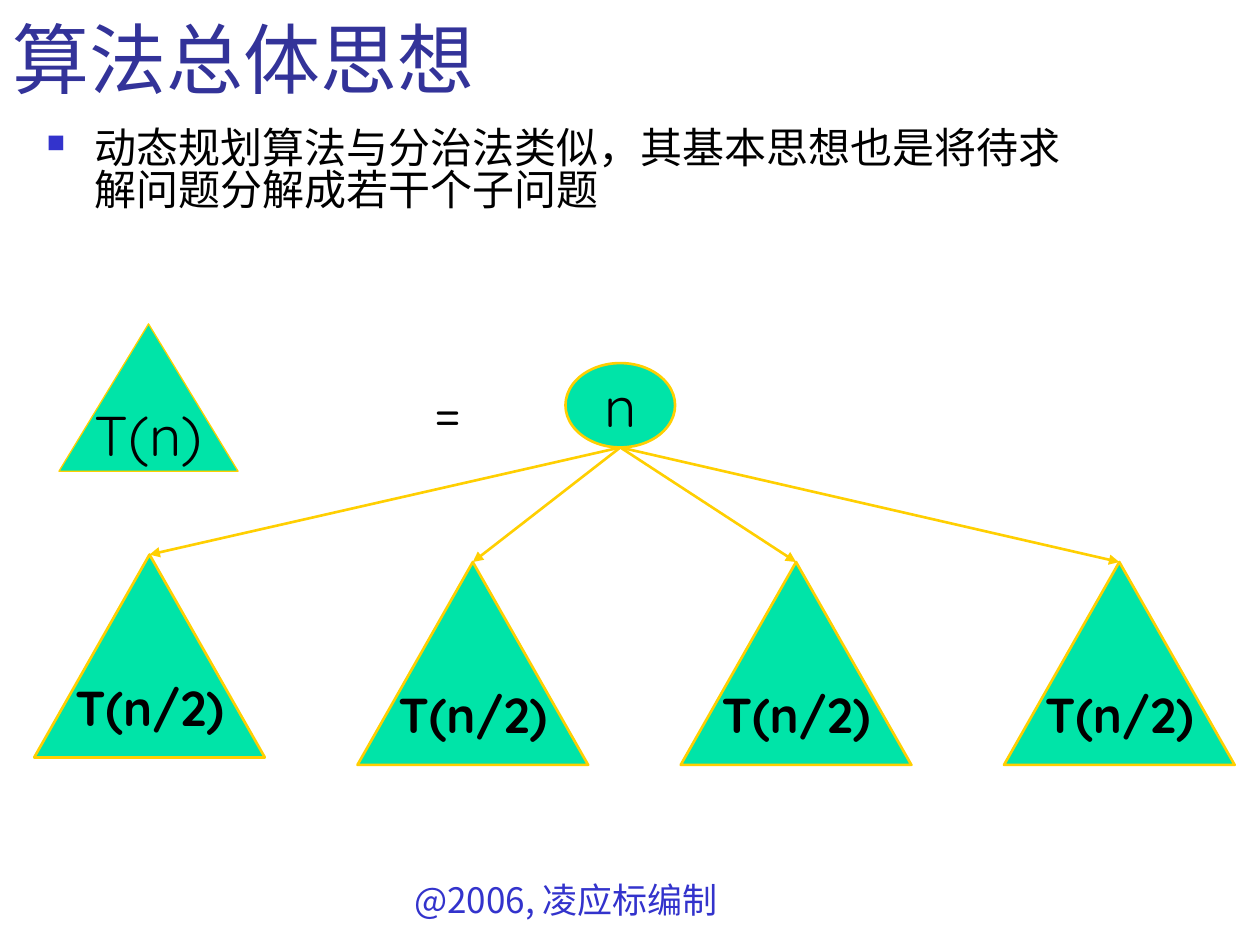
from dataclasses import dataclass

from lxml.etree import SubElement
from pptx import Presentation
from pptx.dml.color import RGBColor as Rgb
from pptx.enum.shapes import MSO_CONNECTOR as Connector, MSO_SHAPE as Shape
from pptx.enum.text import MSO_ANCHOR as Anchor, PP_ALIGN as Align
from pptx.oxml.ns import qn
from pptx.util import Cm, Pt


@dataclass(frozen=True)
class Theme:
    title: Rgb = Rgb(0x33, 0x33, 0x99)
    accent: Rgb = Rgb(0x33, 0x33, 0xCC)
    ink: Rgb = Rgb(0, 0, 0)
    fill: Rgb = Rgb(0x00, 0xE4, 0xA8)
    line: Rgb = Rgb(0xFF, 0xCF, 0x01)
    title_font: str = "Karla"
    body_font: str = "Noto Sans CJK SC"
    node_font: str = "Quicksand"
    title_size: int = 44
    body_size: int = 24
    footer_size: int = 20
    root_size: int = 32
    child_size: int = 28
    thin: float = 0.75
    thick: float = 1.5


THEME = Theme()


def set_all(target, values):
    for name, value in values.items():
        setattr(target, name, value)


def write(shape, text, font, size, color, bold=False, frame=None, layout=None):
    """Fill a shape with one formatted paragraph and return the paragraph."""
    set_all(shape.text_frame, frame or {})
    para = shape.text_frame.paragraphs[0]
    set_all(para, layout or {})
    span = para.add_run()
    span.text = text
    set_all(span.font, {"name": font, "size": Pt(size), "bold": bold})
    span.font.color.rgb = color
    SubElement(span.font._element, qn("a:ea"), typeface=font)
    return para


def add_text(page, box, text, font, size, color, anchor=Anchor.TOP, **layout):
    shape = page.shapes.add_textbox(*map(Cm, box))
    frame = {"word_wrap": True, "vertical_anchor": anchor}
    return write(shape, text, font, size, color, frame=frame, layout=layout)


def add_bullet(para, indent):
    props = para._p.get_or_add_pPr()
    props.set("marL", str(indent))
    props.set("indent", str(-indent))
    color = SubElement(props, qn("a:buClr"))
    SubElement(color, qn("a:srgbClr"), val=str(THEME.accent))
    SubElement(props, qn("a:buSzPct"), val="60000")
    SubElement(props, qn("a:buChar"), char="■")


def add_node(page, kind, box, text, size, bold=False, width=THEME.thick):
    node = page.shapes.add_shape(kind, *map(Cm, box))
    node.shadow.inherit = False
    node.fill.solid()
    node.fill.fore_color.rgb = THEME.fill
    node.line.color.rgb = THEME.line
    node.line.width = Pt(width)
    write(node, text, THEME.node_font, size, THEME.ink, bold,
          frame={"word_wrap": False, "vertical_anchor": Anchor.MIDDLE},
          layout={"alignment": Align.CENTER})
    return node


def add_arrow(page, start, child):
    """Draw an arrow from a point to the apex of a child triangle."""
    arrow = page.shapes.add_connector(Connector.STRAIGHT, *start, *start)
    arrow.end_connect(child, 0)
    arrow.line.color.rgb = THEME.line
    arrow.line.width = Pt(THEME.thick)
    SubElement(arrow.line._get_or_add_ln(), qn("a:tailEnd"), type="triangle")
    SubElement(arrow._element.spPr, qn("a:effectLst"))


def add_equation(page, left, top):
    """Place the whole problem and the equals sign."""
    add_node(page, Shape.ISOSCELES_TRIANGLE, (left, top, 3.61, 2.97),
             "T(n)", THEME.root_size, width=THEME.thin)
    add_text(page, (left + 6.35, top + 0.94, 2.97, 1.63), "=", THEME.node_font,
             THEME.root_size, THEME.ink, alignment=Align.CENTER)


def add_tree(page, left, top, width):
    """Place the root and its four evenly spaced subproblems."""
    root = add_node(page, Shape.OVAL, (left + 10.71, top, 2.21, 1.7),
                    "n", THEME.root_size)
    start = (root.left + root.width // 2, root.top + root.height)
    child_width, count = 4.65, 4
    pitch = (width - child_width) / (count - 1)
    for index in range(count):
        drop = 4.01 if index else 3.86
        box = (left + index * pitch, top + drop, child_width, 4.09)
        child = add_node(page, Shape.ISOSCELES_TRIANGLE, box,
                         "T(n/2)", THEME.child_size, bold=True)
        add_arrow(page, start, child)


def main():
    deck = Presentation()
    set_all(deck, {"slide_width": Cm(25.4), "slide_height": Cm(19.05)})
    page = deck.slides.add_slide(deck.slide_layouts[6])
    add_text(page, (8.1, 17.58, 12.4, 1.12), "@2006, 凌应标编制",
             THEME.body_font, THEME.footer_size, THEME.accent)
    body = add_text(page, (0.69, 2.51, 21.59, 11.43),
                    "动态规划算法与分治法类似，其基本思想也是将待求解问题分解成若干个子问题",
                    THEME.body_font, THEME.body_size, THEME.ink, line_spacing=0.82)
    add_bullet(body, Cm(0.97))
    add_text(page, (0, 0, 21.59, 2.31), "算法总体思想", THEME.title_font,
             THEME.title_size, THEME.title, Anchor.MIDDLE)
    add_tree(page, 0.69, 7.32, 24.2)
    add_equation(page, 1.19, 6.53)
    deck.save("out.pptx")


if __name__ == "__main__":
    main()
